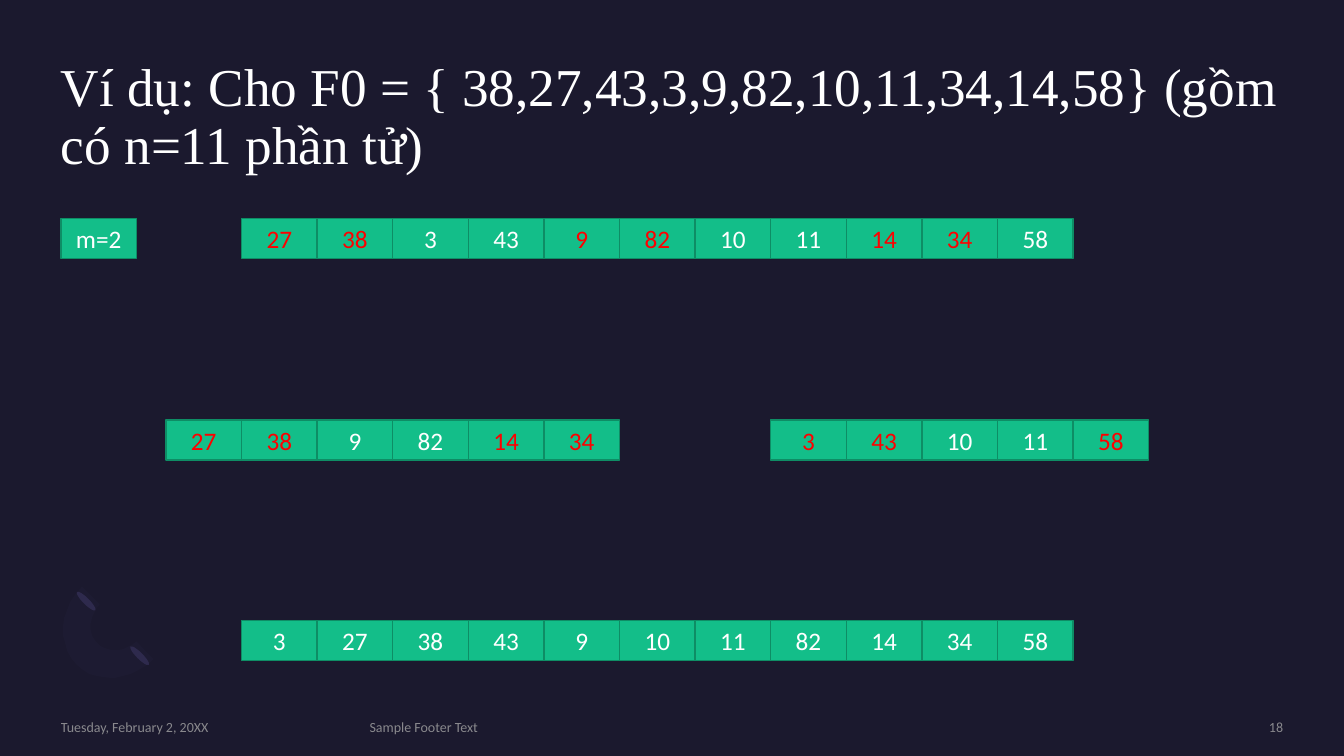
from lxml.etree import SubElement
from pptx import Presentation
from pptx.dml.color import RGBColor
from pptx.enum.shapes import MSO_SHAPE
from pptx.enum.text import MSO_ANCHOR, MSO_AUTO_SIZE, PP_ALIGN
from pptx.oxml.ns import qn
from pptx.util import Emu, Pt

PIXEL = 9525
COLORS = {
    "background": "1B192E",
    "cell": "13BE89",
    "border": "0E8D65",
    "text": "FFFFFF",
    "marked": "FF0000",
    "footer": "A6A6A6",
    "petal": "2C284A",
    "arc": "7771B2",
}
CELL_WIDTH, CELL_HEIGHT = 72, 38
MARGIN, GRID_LEFT = 58, 158

NUMBER_ROWS = [
    (1, 208, [27, 38, 3, 43, 9, 82, 10, 11, 14, 34, 58], {27, 38, 9, 82, 14, 34}),
    (0, 400, [27, 38, 9, 82, 14, 34], {27, 38, 14, 34}),
    (8, 400, [3, 43, 10, 11, 58], {3, 43, 58}),
    (1, 591, [3, 27, 38, 43, 9, 10, 11, 82, 14, 34, 58], set()),
]
FOOTERS = [
    (58, 276, "Tuesday, February 2, 20XX", PP_ALIGN.LEFT),
    (352, 670, "Sample Footer Text", PP_ALIGN.LEFT),
    (1044, 178, "18", PP_ALIGN.RIGHT),
]
ARC_START = (73, 633)
ARC_CURVES = [
    [(54, 613), (56, 581), (78, 559)],
    [(95, 576)],
    [(84, 587), (83, 604), (92, 612)],
    [(102, 622), (118, 621), (130, 611)],
    [(146, 628)],
    [(125, 649), (91, 652), (73, 633)],
]


def curve_points(start, controls, steps=10):
    if len(controls) == 1:
        return controls
    points = [start, *controls]
    weights = (1, 3, 3, 1)
    return [
        tuple(
            sum(
                weight * (1 - t) ** (3 - i) * t**i * point[axis]
                for i, (weight, point) in enumerate(zip(weights, points))
            )
            for axis in (0, 1)
        )
        for t in (step / steps for step in range(1, steps + 1))
    ]


class SlideBuilder:
    def __init__(self, presentation):
        self.slide = presentation.slides.add_slide(presentation.slide_layouts[5])
        background = self.slide.background.fill
        background.solid()
        background.fore_color.rgb = self.color("background")

    def color(self, name):
        return RGBColor.from_string(COLORS[name])

    def box(self, *lengths):
        return [Emu(length * PIXEL) for length in lengths]

    def fade(self, element, percent):
        for color in element.iter(qn("a:srgbClr")):
            SubElement(color, qn("a:alpha")).set("val", str(percent * 1000))

    def paint(self, shape, fill, line=None):
        shape.shadow.inherit = False
        shape.fill.solid()
        shape.fill.fore_color.rgb = self.color(fill)
        if line:
            shape.line.color.rgb = self.color(line)
            shape.line.width = Pt(1)
        else:
            shape.line.fill.background()

    def set_text(self, shape, text, size, color, align, anchor, font="Calibri"):
        frame = shape.text_frame
        frame.text = text
        frame.word_wrap = True
        frame.auto_size = MSO_AUTO_SIZE.NONE
        frame.vertical_anchor = anchor
        paragraph = frame.paragraphs[0]
        paragraph.alignment = align
        paragraph.font.name = font
        paragraph.font.size = Pt(size)
        paragraph.font.color.rgb = self.color(color)
        return paragraph

    def clear_margins(self, shape):
        frame = shape.text_frame
        frame.margin_left = frame.margin_right = 0
        frame.margin_top = frame.margin_bottom = 0

    def title(self, text):
        shape = self.slide.shapes.title
        shape.left, shape.top, shape.width, shape.height = self.box(MARGIN, 58, 1164, 140)
        self.clear_margins(shape)
        paragraph = self.set_text(
            shape, text, 38, "text", PP_ALIGN.LEFT, MSO_ANCHOR.TOP, "Times New Roman"
        )
        paragraph.line_spacing = 0.9

    def petal(self, left, top):
        shape = self.slide.shapes.add_shape(MSO_SHAPE.OVAL, *self.box(left, top, 6, 25))
        shape.rotation = 135
        self.paint(shape, "petal")

    def arc(self):
        builder = self.slide.shapes.build_freeform(*ARC_START, scale=PIXEL)
        start = ARC_START
        for controls in ARC_CURVES:
            builder.add_line_segments(curve_points(start, controls), close=False)
            start = controls[-1]
        builder.add_line_segments([], close=True)
        shape = builder.convert_to_shape()
        self.paint(shape, "arc")
        self.fade(shape.element.spPr, 3)

    def footer(self, left, width, text, align):
        shape = self.slide.shapes.add_textbox(*self.box(left, 684, width, 16))
        self.clear_margins(shape)
        self.set_text(shape, text, 10, "footer", align, MSO_ANCHOR.MIDDLE)
        self.fade(shape.element, 80)

    def cell(self, left, top, text, color="text"):
        shape = self.slide.shapes.add_shape(
            MSO_SHAPE.RECTANGLE, *self.box(left, top, CELL_WIDTH, CELL_HEIGHT)
        )
        self.paint(shape, "cell", "border")
        self.set_text(shape, text, 18, color, PP_ALIGN.CENTER, MSO_ANCHOR.MIDDLE)

    def number_row(self, column, top, values, marked):
        for position, value in enumerate(values, column):
            color = "marked" if value in marked else "text"
            self.cell(GRID_LEFT + position * CELL_WIDTH, top, str(value), color)


def main():
    presentation = Presentation()
    presentation.slide_width = Emu(1280 * PIXEL)
    presentation.slide_height = Emu(720 * PIXEL)
    builder = SlideBuilder(presentation)
    builder.petal(130, 612)
    builder.petal(79, 560)
    builder.arc()
    builder.title("Ví dụ: Cho F0 = { 38,27,43,3,9,82,10,11,34,14,58} (gồm có n=11 phần tử)")
    for footer in FOOTERS:
        builder.footer(*footer)
    for number_row in NUMBER_ROWS:
        builder.number_row(*number_row)
    builder.cell(MARGIN, 208, "m=2")
    presentation.save("out.pptx")


if __name__ == "__main__":
    main()
